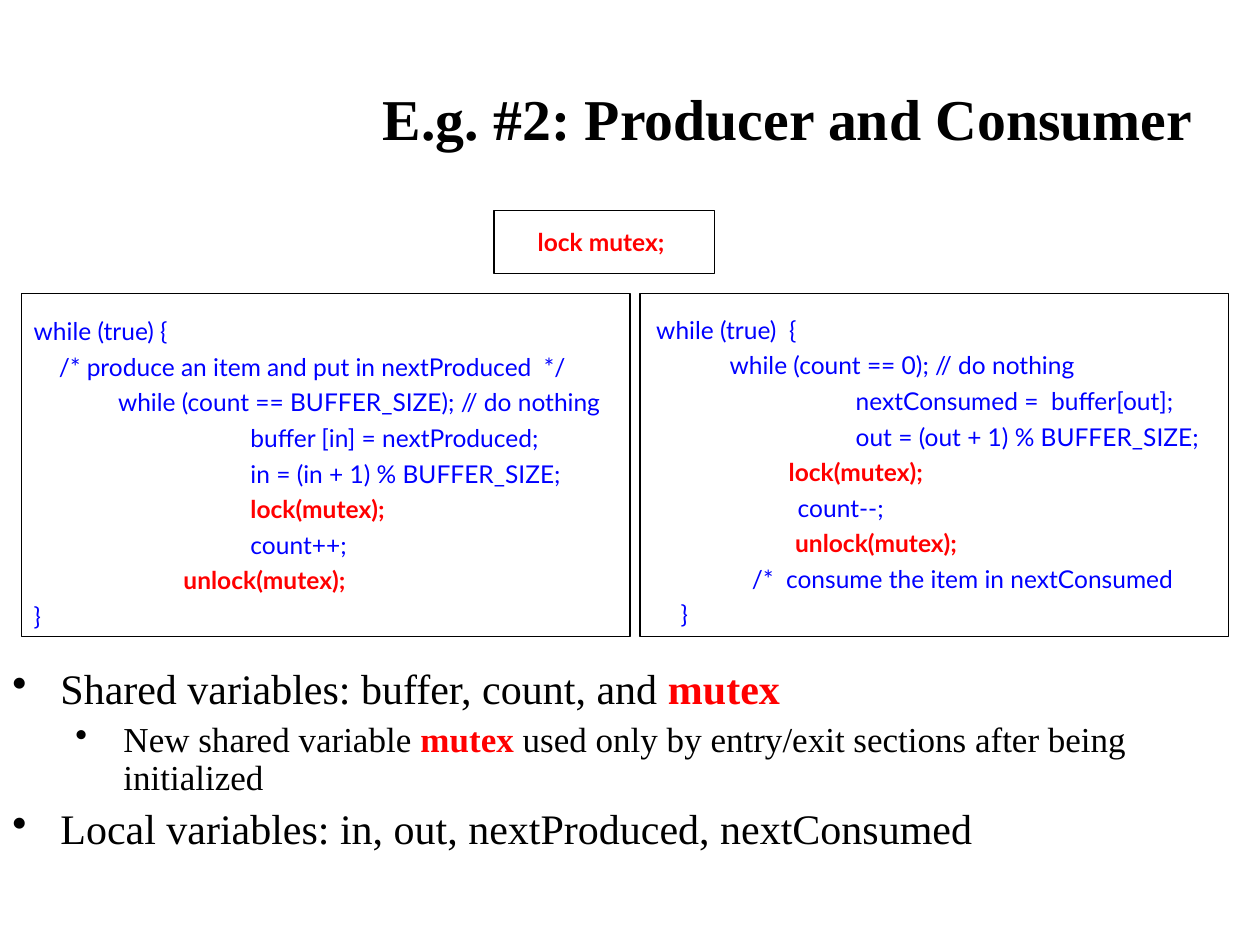
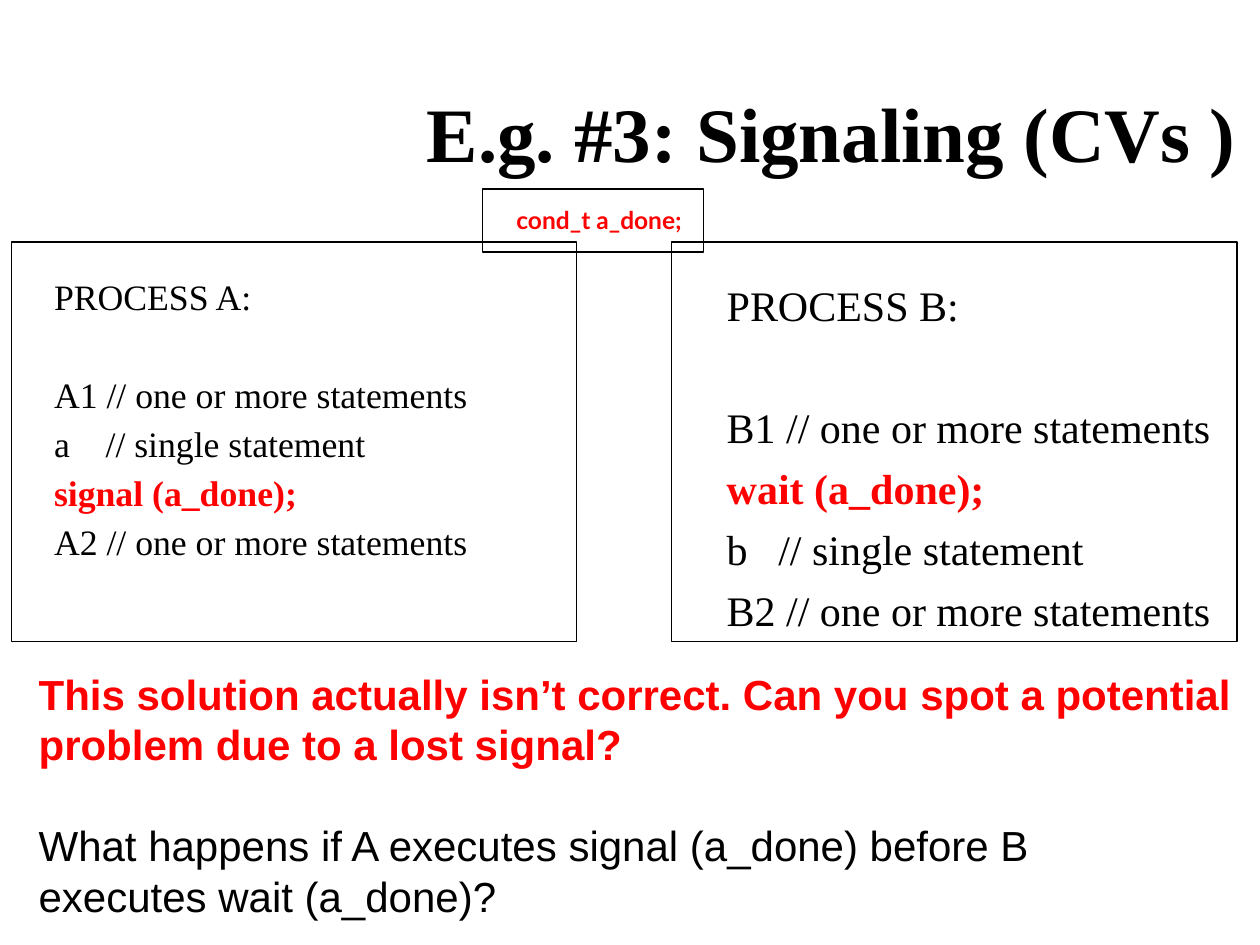
"""Build two slides on locks and signaling between processes."""
from dataclasses import dataclass

from lxml import etree
from pptx import Presentation
from pptx.dml.color import RGBColor
from pptx.enum.shapes import MSO_SHAPE
from pptx.enum.text import MSO_ANCHOR, PP_ALIGN
from pptx.oxml.ns import qn
from pptx.util import Cm, Pt

RECT = MSO_SHAPE.RECTANGLE
TOP, MIDDLE = MSO_ANCHOR.TOP, MSO_ANCHOR.MIDDLE
LEFT, RIGHT = PP_ALIGN.LEFT, PP_ALIGN.RIGHT


@dataclass(frozen=True)
class Theme:
    """Colours, fonts and type sizes shared by the slides."""
    ink: str = "000000"
    code: str = "0000FF"
    alert: str = "FF0000"
    serif: str = "Times New Roman"
    sans: str = "Arial"
    mono: str = "Lato"
    code_size: float = 14
    sub_size: float = 20
    small_size: float = 20.4
    body_size: float = 24
    frame_line: float = 0.75
    code_gap: float = 3.5
    hanging: float = 0.97


class Deck:
    """Hold the theme, the presentation and the current slide."""

    def __init__(self, theme):
        """Start an empty 10 by 7.5 inch presentation."""
        self.theme = theme
        self.prs = Presentation()
        self.prs.slide_width, self.prs.slide_height = Cm(25.4), Cm(19.05)
        self.s = None

    def new_slide(self, title, box, size):
        """Add a blank slide with its right-aligned title."""
        self.s = self.prs.slides.add_slide(self.prs.slide_layouts[6])
        tf = self.text_box(box, anchor=MIDDLE)
        self.paragraph(tf, title, self.theme.serif, size, bold=True, align=RIGHT)

    def text_box(self, box, anchor=TOP, top_inset=0.13, right_inset=0.25):
        """Add a wrapping text box and return its text frame."""
        tf = self.s.shapes.add_textbox(*map(Cm, box)).text_frame
        tf.word_wrap = True
        tf.vertical_anchor = anchor
        tf.margin_top, tf.margin_right = Cm(top_inset), Cm(right_inset)
        tf.margin_left, tf.margin_bottom = Cm(0.25), Cm(0.13)
        return tf

    def paragraph(self, tf, text, font, size, color=None, bold=False, align=LEFT,
                  before=0, spacing=None, indent=0):
        """Add one paragraph; parts between bars are bold and in the alert colour."""
        p = tf.paragraphs[0]
        if p.runs:
            p = tf.add_paragraph()
        p.alignment = align
        p.space_before = Pt(before)
        if spacing:
            p.line_spacing = spacing
        p._p.get_or_add_pPr().set("marL", str(Cm(indent)))
        for i, part in enumerate(text.split("|")):
            if not part:
                continue
            marked = i % 2 == 1
            r = p.add_run()
            r.text = part
            r.font.name, r.font.size = font, Pt(size)
            r.font.bold = bold or marked
            r.font.color.rgb = RGBColor.from_string(
                self.theme.alert if marked else color or self.theme.ink)
        return p

    def frame(self, box):
        """Draw an unfilled rectangle with a thin outline."""
        sp = self.s.shapes.add_shape(RECT, *map(Cm, box))
        sp.shadow.inherit = False
        sp.fill.background()
        sp.line.color.rgb = RGBColor.from_string(self.theme.ink)
        sp.line.width = Pt(self.theme.frame_line)

    def code(self, box, lines, top_inset=0.13):
        """Write code lines given as (indent, text)."""
        t = self.theme
        tf = self.text_box(box, top_inset=top_inset)
        for indent, text in lines:
            self.paragraph(tf, text, t.mono, t.code_size, t.code,
                           before=t.code_gap, indent=indent)

    def declaration(self, frame_at, text_at, text):
        """Frame the declaration of a shared variable."""
        self.frame((*frame_at, 4.45, 1.27))
        self.code((*text_at, 4.2, 1.07), [(0, f"|{text}|")])

    def bullets(self, box, items):
        """Write bulleted paragraphs given as (level, text)."""
        t = self.theme
        tf = self.text_box(box)
        for level, text in items:
            p = self.paragraph(tf, text, t.serif,
                               t.sub_size if level else t.body_size,
                               before=5 if level else 6, spacing=0.9,
                               indent=t.hanging + 1.27 * level)
            p.level = level
            pPr = p._p.get_or_add_pPr()
            pPr.set("indent", str(-Cm(t.hanging)))
            clr = etree.SubElement(pPr, qn("a:buClr"))
            etree.SubElement(clr, qn("a:srgbClr"), val=t.ink)
            etree.SubElement(pPr, qn("a:buChar"), char="•")

    def process(self, box, heading, lines, size, spacing, heading_gap):
        """Write a process heading and, after a gap, its statements."""
        tf = self.text_box(box)
        self.paragraph(tf, heading, self.theme.serif, size, spacing=spacing)
        for i, text in enumerate(lines):
            p = self.paragraph(tf, text, self.theme.serif, size, spacing=spacing,
                               before=6 if i else heading_gap)
            tabs = etree.SubElement(p._p.get_or_add_pPr(), qn("a:tabLst"))
            etree.SubElement(tabs, qn("a:tab"), pos=str(Cm(1.04)), algn="l")

    def remarks(self, box, lines):
        """Write closing remarks given as (space before, text)."""
        tf = self.text_box(box, right_inset=0)
        for before, text in lines:
            self.paragraph(tf, text, self.theme.sans, self.theme.body_size,
                           before=before)


def producer_consumer(deck):
    """Build the slide on the producer and the consumer."""
    deck.new_slide("E.g. #2: Producer and Consumer ", (1.27, 1.47, 23.29, 1.8), 33)
    deck.code((0.43, 6.25, 13.89, 8.15), [
        (0, "while (true) {"),
        (0.51, "/* produce an item and put in nextProduced  */"),
        (1.7, "while (count == BUFFER_SIZE); // do nothing"),
        (4.37, "buffer [in] = nextProduced;"),
        (4.37, "in = (in + 1) % BUFFER_SIZE;"),
        (4.37, "|lock(mutex);|"),
        (4.37, "count++;"),
        (3.02, "|unlock(mutex);|"),
        (0, "}"),
    ])
    deck.code((12.5, 5.51, 12.9, 8.81), [
        (0.48, "while (true)  {"),
        (1.96, "while (count == 0); // do nothing"),
        (4.5, "nextConsumed =  buffer[out];"),
        (4.5, "out = (out + 1) % BUFFER_SIZE;"),
        (3.15, "|lock(mutex);|"),
        (3.33, "count--;"),
        (3.28, "|unlock(mutex);|"),
        (2.41, "/*  consume the item in nextConsumed"),
        (0.97, "}"),
    ], top_inset=0.84)
    for left, width in ((0.43, 12.27), (12.9, 11.86)):
        deck.frame((left, 5.92, width, 6.91))
    deck.bullets((0, 13.34, 24.97, 3.38), [
        (0, "Shared variables: buffer, count, and |mutex|"),
        (1, "New shared variable |mutex| used only by entry/exit sections "
            "after being initialized"),
        (0, "Local variables: in, out, nextProduced, nextConsumed"),
    ])
    deck.declaration((9.96, 4.24), (10.59, 4.45), "lock mutex;")


def signaling(deck):
    """Build the slide on signaling with condition variables."""
    t = deck.theme
    deck.new_slide("E.g. #3: Signaling (CVs )", (0.84, 1.07, 24.33, 3.18), 44)
    deck.process((0.84, 5.51, 10.59, 6.99), "PROCESS A:", [
        "A1 // one or more statements",
        "a\t// single statement",
        "|signal (a_done);|",
        "A2 // one or more statements",
    ], t.small_size, 0.9, heading_gap=34)
    for left in (0.23, 13.54):
        deck.frame((left, 4.88, 11.4, 8.05))
    deck.process((14.4, 5.51, 10.59, 6.99), "PROCESS B:", [
        "B1 // one or more statements",
        "|wait (a_done);|",
        "b\t// single statement",
        "B2 // one or more statements",
    ], t.body_size, None, heading_gap=41)
    deck.declaration((9.73, 3.81), (10.16, 4.01), "cond_t a_done;")
    deck.remarks((0.53, 13.34, 24.54, 5.33), [
        (0, "|This solution actually isn’t correct. Can you spot a potential|"),
        (0, "|problem due to a lost signal?|"),
        (29, "What happens if A executes signal (a_done) before B"),
        (0, "executes wait (a_done)?"),
    ])


def main():
    """Build both slides and save them."""
    deck = Deck(Theme())
    producer_consumer(deck)
    signaling(deck)
    deck.prs.save("out.pptx")


main()
